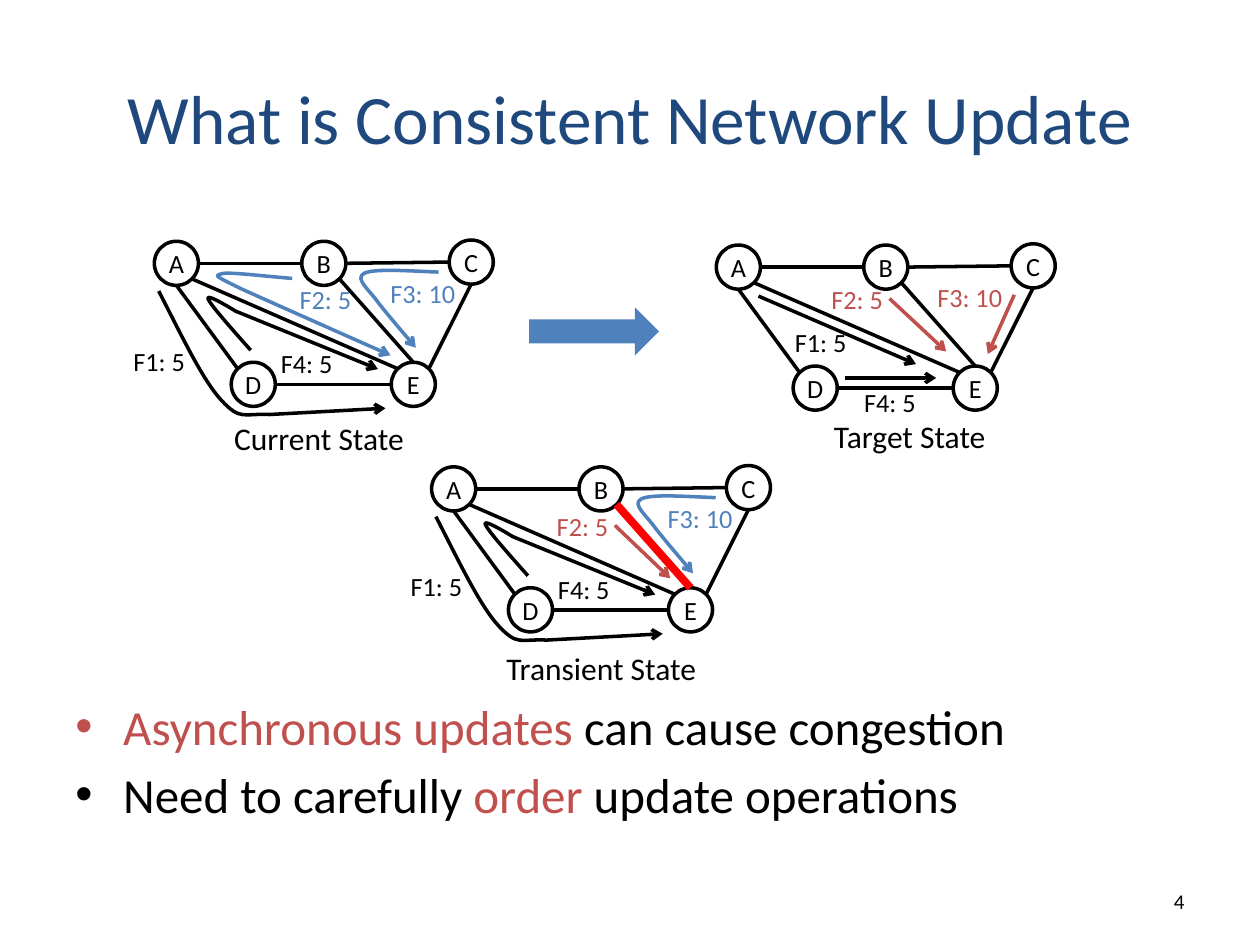
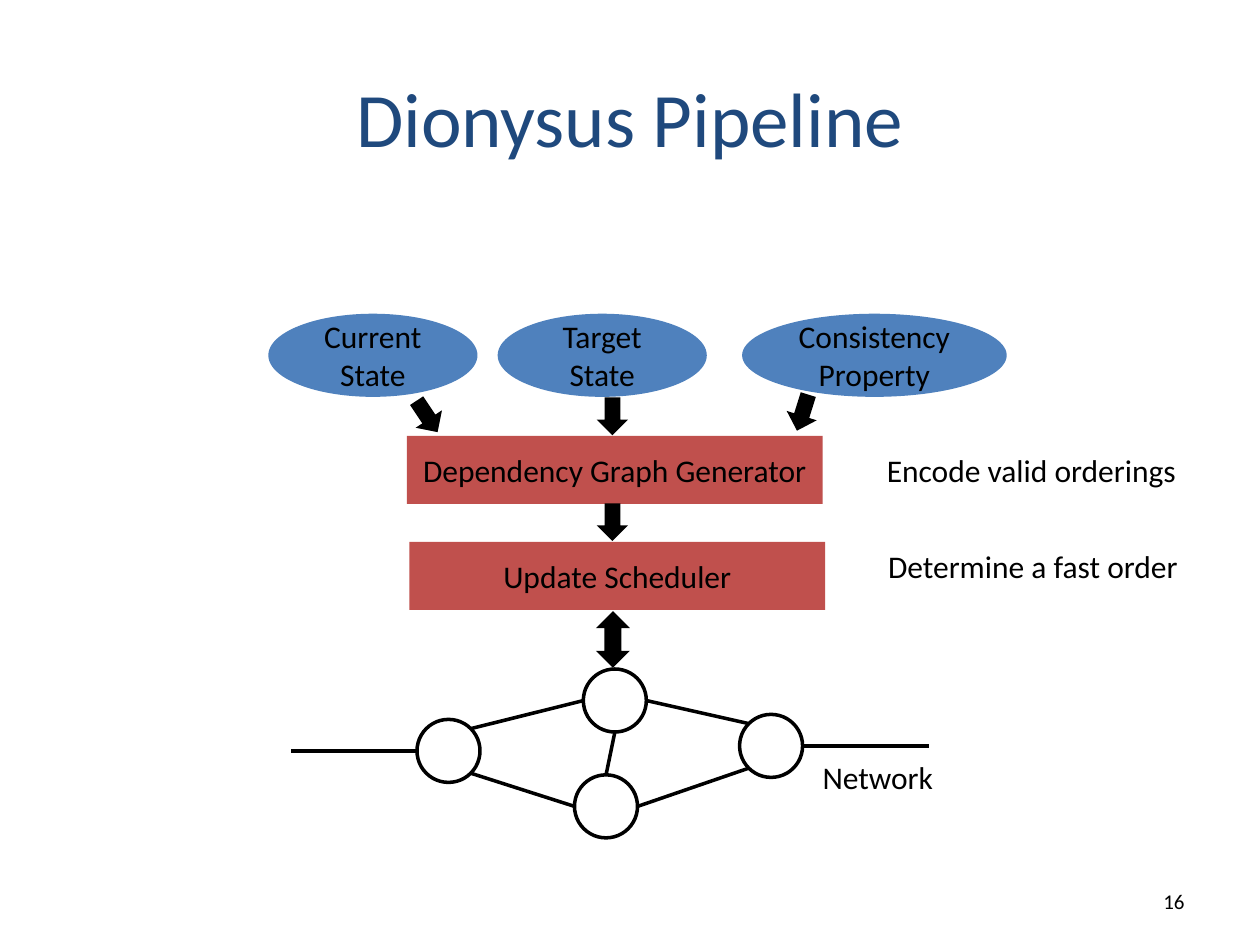
"""Build two slides on consistent network updates: the problem and the pipeline."""
from dataclasses import dataclass
from math import hypot

from lxml.etree import SubElement
from pptx import Presentation
from pptx.dml.color import RGBColor
from pptx.enum.shapes import MSO_CONNECTOR as Connector, MSO_SHAPE as Preset
from pptx.enum.text import MSO_ANCHOR as Anchor, PP_ALIGN as Align
from pptx.oxml.ns import qn
from pptx.shapes.base import BaseShape
from pptx.slide import Slide
from pptx.text.text import TextFrame
from pptx.util import Inches, Pt

COLORS = {
    "title": "1F497D",
    "blue": "4F81BD",
    "red": "C0504D",
    "alert": "FF0000",
    "black": "000000",
    "white": "FFFFFF",
}
FONT = "Calibri"
Point = tuple[float, float]
Box = tuple[float, float, float, float]


@dataclass(frozen=True)
class Link:
    start: str
    start_side: Point
    end: str
    end_side: Point


@dataclass(frozen=True)
class Route:
    """A start and segments: one point for a line, three for a cubic curve."""
    start: Point
    segments: tuple[tuple[Point, ...], ...]


@dataclass(frozen=True)
class Flow:
    label: str
    label_at: Point
    route: Route
    color: str = "black"


@dataclass(frozen=True)
class NetworkState:
    caption: str
    caption_box: Box
    origin: Point
    flows: tuple[Flow, ...]
    congested: str = ""


@dataclass(frozen=True)
class Block:
    preset: Preset
    box: Box
    color: str
    text: str = ""
    rotation: float = 0


TOP, BOTTOM, LEFT, RIGHT = (0, -1), (0, 1), (-1, 0), (1, 0)
TOP_LEFT, TOP_RIGHT, BOTTOM_LEFT, BOTTOM_RIGHT = (-1, -1), (1, -1), (-1, 1), (1, 1)

STATE_RADIUS = 0.175
STATE_NODES = {"A": (0, 0), "B": (1.17, 0), "C": (2.34, -0.01), "D": (0.61, 0.96), "E": (1.88, 0.96)}
STATE_LINKS = (
    Link("B", LEFT, "A", RIGHT),
    Link("C", LEFT, "B", RIGHT),
    Link("D", TOP_LEFT, "A", BOTTOM),
    Link("E", TOP_LEFT, "A", BOTTOM_RIGHT),
    Link("E", LEFT, "D", RIGHT),
    Link("C", BOTTOM, "E", TOP_RIGHT),
    Link("E", TOP, "B", BOTTOM_RIGHT),
)

F1_AROUND_D = Route((-0.14, 0.22), (
    ((0.04, 0.57), (0.21, 0.93), (0.36, 1.09)),
    ((0.51, 1.25), (0.53, 1.19), (0.74, 1.2)),
    ((1.66, 1.15),),
))
F2_VIA_A = Route((0.92, 0.12), (
    ((0.68, 0.1), (0.44, 0.07), (0.37, 0.08)),
    ((0.3, 0.1), (0.29, 0.09), (0.51, 0.2)),
    ((0.73, 0.3), (1.7, 0.73), (1.7, 0.73)),
))
F3_VIA_B = Route((2.08, 0.07), (
    ((1.83, 0.06), (1.57, 0.04), (1.49, 0.08)),
    ((1.41, 0.12), (1.53, 0.21), (1.6, 0.31)),
    ((1.67, 0.4), (1.9, 0.67), (1.9, 0.67)),
))
F4_VIA_A = Route((0.59, 0.69), (
    ((0.43, 0.51), (0.27, 0.33), (0.25, 0.28)),
    ((0.23, 0.23), (0.47, 0.38), (0.47, 0.38)),
    ((1.6, 0.84),),
))
F1_OLD = Flow("F1: 5", (-0.44, 0.6), F1_AROUND_D)
F3_OLD = Flow("F3: 10", (1.6, 0.06), F3_VIA_B, "blue")
F4_OLD = Flow("F4: 5", (0.73, 0.62), F4_VIA_A)

STATES = (
    NetworkState("Current State", (1.76, 3.28, 1.58, 0.4), (1.4, 2.09), (
        F1_OLD, F3_OLD, F4_OLD,
        Flow("F2: 5", (0.88, 0.11), F2_VIA_A, "blue"),
    )),
    NetworkState("Target State", (6.52, 3.26, 1.45, 0.4), (5.86, 2.12), (
        Flow("F1: 5", (0.35, 0.42), Route((0.16, 0.23), (((1.41, 0.77),),))),
        Flow("F2: 5", (0.64, 0.08), Route((1.2, 0.25), (((1.65, 0.67),),)), "red"),
        Flow("F3: 10", (1.48, 0.06), Route((2.19, 0.22), (((1.98, 0.69),),)), "red"),
        Flow("F4: 5", (0.9, 0.9), Route((0.85, 0.88), (((1.57, 0.88),),))),
    )),
    NetworkState("Transient State", (3.92, 5.1, 1.75, 0.4), (3.6, 3.88), (
        F1_OLD, F3_OLD, F4_OLD,
        Flow("F2: 5", (0.72, 0.12), Route((1.28, 0.29), (((1.72, 0.71),),)), "red"),
    ), congested="EB"),
)

SWITCH_RADIUS = 0.25
SWITCHES = {"west": (3.56, 5.96), "north": (4.88, 5.56), "south": (4.81, 6.4), "east": (6.12, 5.92)}
SWITCH_LINKS = (
    Link("north", LEFT, "west", TOP_RIGHT),
    Link("south", LEFT, "west", BOTTOM_RIGHT),
    Link("east", TOP_LEFT, "north", RIGHT),
    Link("east", BOTTOM_LEFT, "south", RIGHT),
    Link("north", BOTTOM, "south", TOP),
)

PIPELINE = (
    Block(Preset.RECTANGLE, (3.23, 3.46, 3.3, 0.54), "red", "Dependency Graph Generator"),
    Block(Preset.RECTANGLE, (3.25, 4.3, 3.3, 0.54), "red", "Update Scheduler"),
    Block(Preset.OVAL, (2.13, 2.49, 1.66, 0.66), "blue", "Current\nState"),
    Block(Preset.OVAL, (3.95, 2.49, 1.66, 0.66), "blue", "Target\nState"),
    Block(Preset.OVAL, (5.89, 2.49, 2.1, 0.66), "blue", "Consistency\nProperty"),
    Block(Preset.RIGHT_ARROW, (4.71, 4.02, 0.3, 0.25), "black", rotation=90),
    Block(Preset.RIGHT_ARROW, (4.71, 3.18, 0.3, 0.25), "black", rotation=90),
    Block(Preset.RIGHT_ARROW, (3.24, 3.18, 0.3, 0.25), "black", rotation=56.3),
    Block(Preset.RIGHT_ARROW, (6.22, 3.15, 0.3, 0.25), "black", rotation=107.4),
    Block(Preset.UP_DOWN_ARROW, (4.73, 4.85, 0.27, 0.45), "black"),
)


def rgb(name: str) -> RGBColor:
    return RGBColor.from_string(COLORS[name])


def shift(point: Point, origin: Point) -> Point:
    return point[0] + origin[0], point[1] + origin[1]


def write(frame: TextFrame, text: str, *, size: float = 18, color: str = "black",
          align: Align = Align.LEFT, anchor: Anchor = Anchor.TOP, wrap: bool = True,
          margin: float | None = None, bullet: bool = False) -> None:
    """Fill a frame, one paragraph a line; words between asterisks turn red."""
    frame.word_wrap = wrap
    frame.vertical_anchor = anchor
    if margin is not None:
        frame.margin_left = frame.margin_right = Inches(margin)
        frame.margin_top = frame.margin_bottom = Inches(margin)
    for index, line in enumerate(text.split("\n")):
        paragraph = frame.add_paragraph() if index else frame.paragraphs[0]
        paragraph.alignment = align
        if bullet:
            properties = paragraph._p.get_or_add_pPr()
            properties.set("marL", str(Inches(0.38)))
            properties.set("indent", str(Inches(-0.38)))
            SubElement(properties, qn("a:buFont"), typeface="Arial")
            SubElement(properties, qn("a:buChar"), char="•")
            if index:
                paragraph.space_before = Pt(5)
        for part, words in enumerate(line.split("*")):
            if words:
                run = paragraph.add_run()
                run.text = words
                run.font.name = FONT
                run.font.size = Pt(size)
                run.font.color.rgb = rgb("red" if part % 2 else color)


def add_label(slide: Slide, box: Box, text: str, **text_format) -> None:
    write(slide.shapes.add_textbox(*map(Inches, box)).text_frame, text, **text_format)


def add_block(slide: Slide, block: Block) -> None:
    shape = slide.shapes.add_shape(block.preset, *map(Inches, block.box))
    shape.shadow.inherit = False
    shape.fill.solid()
    shape.fill.fore_color.rgb = rgb(block.color)
    shape.line.fill.background()
    shape.rotation = block.rotation
    if block.text:
        write(shape.text_frame, block.text, align=Align.CENTER, anchor=Anchor.MIDDLE)


def style_line(shape: BaseShape, color: str, width: float = 2, arrow: bool = False) -> None:
    shape.line.color.rgb = rgb(color)
    shape.line.width = Pt(width)
    if arrow:
        SubElement(shape._element.spPr.find(qn("a:ln")), qn("a:tailEnd"), type="arrow")


def add_line(slide: Slide, start: Point, end: Point, color: str = "black",
             width: float = 2, arrow: bool = False) -> None:
    connector = slide.shapes.add_connector(Connector.STRAIGHT, *map(Inches, start + end))
    style_line(connector, color, width, arrow)
    SubElement(connector._element.spPr, qn("a:effectLst"))


def add_node(slide: Slide, center: Point, radius: float, letter: str = "") -> None:
    box = (center[0] - radius, center[1] - radius, 2 * radius, 2 * radius)
    node = slide.shapes.add_shape(Preset.OVAL, *map(Inches, box))
    node.shadow.inherit = False
    style_line(node, "black")
    if letter:
        node.fill.background()
        write(node.text_frame, letter, size=15, align=Align.CENTER,
              anchor=Anchor.MIDDLE, wrap=False, margin=0)
    else:
        node.fill.solid()
        node.fill.fore_color.rgb = rgb("white")


def rim(center: Point, side: Point, radius: float) -> Point:
    reach = radius / hypot(*side)
    return center[0] + side[0] * reach, center[1] + side[1] * reach


def add_graph(slide: Slide, nodes: dict[str, Point], links: tuple[Link, ...],
              radius: float, congested: str = "", lettered: bool = False) -> None:
    for name, center in nodes.items():
        add_node(slide, center, radius, name if lettered else "")
    for link in links:
        color, width = ("alert", 4.5) if link.start + link.end == congested else ("black", 2)
        add_line(slide, rim(nodes[link.start], link.start_side, radius),
                 rim(nodes[link.end], link.end_side, radius), color, width)


def add_curve(slide: Slide, route: Route, origin: Point, color: str) -> None:
    """Build a freeform through the segment ends, then bend its cubic segments."""
    def place(point: Point) -> Point:
        return tuple(map(Inches, shift(point, origin)))

    builder = slide.shapes.build_freeform(*place(route.start))
    builder.add_line_segments([place(segment[-1]) for segment in route.segments], close=False)
    curve = builder.convert_to_shape()
    steps = list(curve._element.spPr.iter(qn("a:lnTo")))
    for step, segment in zip(steps, route.segments):
        if len(segment) == 3:
            step.tag = qn("a:cubicBezTo")
            for index, control in enumerate(segment[:2]):
                x, y = place(control)
                point = SubElement(step, qn("a:pt"), x=str(x - curve.left), y=str(y - curve.top))
                step.insert(index, point)
    curve.shadow.inherit = False
    curve.fill.background()
    style_line(curve, color, arrow=True)


def add_flow(slide: Slide, flow: Flow, origin: Point) -> None:
    route = flow.route
    if len(route.segments) == 1:
        add_line(slide, shift(route.start, origin), shift(route.segments[0][-1], origin),
                 flow.color, arrow=True)
    else:
        add_curve(slide, route, origin, flow.color)
    add_label(slide, (*shift(flow.label_at, origin), 0.98, 0.35), flow.label,
              size=15, color=flow.color)


def add_state(slide: Slide, state: NetworkState) -> None:
    nodes = {name: shift(center, state.origin) for name, center in STATE_NODES.items()}
    add_graph(slide, nodes, STATE_LINKS, STATE_RADIUS, state.congested, lettered=True)
    for flow in state.flows:
        add_flow(slide, flow, state.origin)
    add_label(slide, state.caption_box, state.caption, wrap=False)


def add_slide(presentation: Presentation, title: str, number: int, title_size: float = 44) -> Slide:
    slide = presentation.slides.add_slide(presentation.slide_layouts[6])
    add_label(slide, (0.5, 0.3, 9, 1.25), title, size=title_size, color="title",
              align=Align.CENTER, anchor=Anchor.MIDDLE)
    add_label(slide, (7.17, 6.95, 2.33, 0.4), str(number), size=12,
              align=Align.RIGHT, anchor=Anchor.MIDDLE)
    return slide


def main() -> None:
    presentation = Presentation()
    presentation.slide_width, presentation.slide_height = Inches(10), Inches(7.5)
    update = add_slide(presentation, "What is Consistent Network Update", 4, title_size=39.6)
    for state in STATES:
        add_state(update, state)
    add_block(update, Block(Preset.RIGHT_ARROW, (4.2, 2.44, 1.03, 0.38), "blue"))
    add_label(update, (0.5, 5.48, 9, 1.6), "*Asynchronous updates* can cause congestion\n"
              "Need to carefully *order* update operations", size=28, bullet=True)
    pipeline = add_slide(presentation, "Dionysus Pipeline", 16)
    for block in PIPELINE:
        add_block(pipeline, block)
    add_graph(pipeline, SWITCHES, SWITCH_LINKS, SWITCH_RADIUS)
    for name, side in (("west", LEFT), ("east", RIGHT)):
        edge = rim(SWITCHES[name], side, SWITCH_RADIUS)
        add_line(pipeline, edge, shift(edge, side))
    add_label(pipeline, (6.43, 5.97, 1.16, 0.4), "Network")
    add_label(pipeline, (6.94, 3.53, 2.83, 0.4), "Encode valid orderings")
    add_label(pipeline, (6.95, 4.29, 2.83, 0.4), "Determine a fast order")
    presentation.save("out.pptx")


if __name__ == "__main__":
    main()
